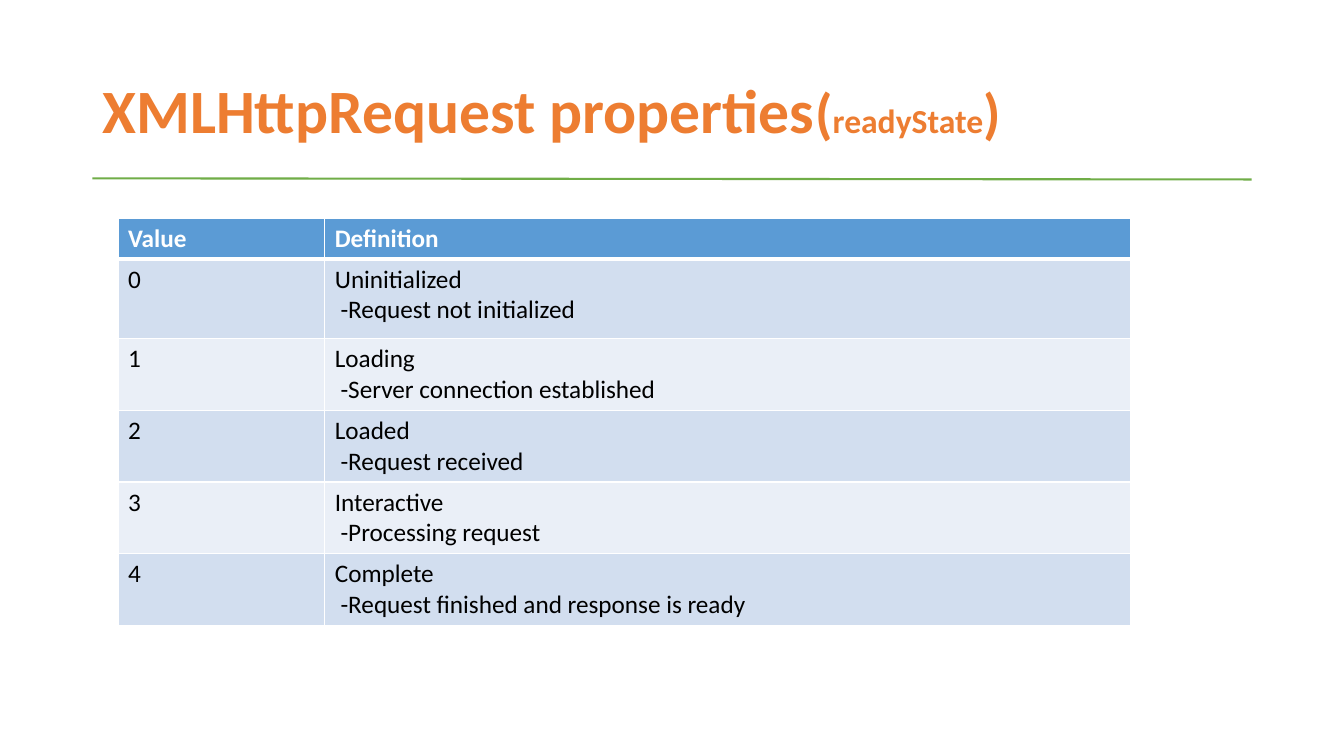
from lxml import etree
from pptx import Presentation
from pptx.dml.color import RGBColor
from pptx.enum.shapes import MSO_CONNECTOR
from pptx.enum.text import MSO_ANCHOR, MSO_AUTO_SIZE, PP_ALIGN
from pptx.oxml.ns import qn
from pptx.util import Pt

STRAIGHT = MSO_CONNECTOR.STRAIGHT
MIDDLE = MSO_ANCHOR.MIDDLE
NO_AUTOFIT = MSO_AUTO_SIZE.NONE
LEFT = PP_ALIGN.LEFT

FONT = "Calibri"
ORANGE = RGBColor(0xED, 0x7D, 0x31)
GREEN = RGBColor(0x70, 0xAD, 0x47)
BLUE = RGBColor(0x5B, 0x9B, 0xD5)
BAND_DARK = RGBColor(0xD2, 0xDE, 0xEF)
BAND_LIGHT = RGBColor(0xEA, 0xEF, 0xF7)
WHITE = RGBColor(0xFF, 0xFF, 0xFF)
BLACK = RGBColor(0x00, 0x00, 0x00)

TITLE_RUNS = [("XMLHttpRequest properties", 44), ("(", 40), ("readyState", 24), (")", 40)]
HEADER = ("Value", "Definition")
STATES = [
    ("Uninitialized", "Request not initialized"),
    ("Loading", "Server connection established"),
    ("Loaded", "Request received"),
    ("Interactive", "Processing request"),
    ("Complete", "Request finished and response is ready"),
]
COLUMN_WIDTHS = (147.6, 575.3)
ROW_HEIGHTS = (29, 57) + (51.2,) * 4


def style_run(run, size, color, bold):
    """Apply the slide font to a run."""
    run.font.name = FONT
    run.font.size = Pt(size)
    run.font.bold = bold
    run.font.color.rgb = color


def add_title(slide):
    """Fill and place the title placeholder."""
    title = slide.shapes.title
    title.left, title.top, title.width, title.height = Pt(66), Pt(28.8), Pt(828), Pt(104.4)
    frame = title.text_frame
    frame.auto_size = NO_AUTOFIT
    frame.vertical_anchor = MIDDLE
    paragraph = frame.paragraphs[0]
    paragraph.alignment = LEFT
    paragraph.line_spacing = 0.9
    for text, size in TITLE_RUNS:
        run = paragraph.add_run()
        run.text = text
        style_run(run, size, ORANGE, True)


def add_rule(slide):
    """Draw the green line under the title."""
    rule = slide.shapes.add_connector(STRAIGHT, Pt(66), Pt(127.4), Pt(894), Pt(128.2))
    rule.line.color.rgb = GREEN
    rule.line.width = Pt(1.5)
    etree.SubElement(rule._element.spPr, qn("a:effectLst"))


def set_borders(cell, bottom_width):
    """Give a cell white borders, placed before its fill as the schema asks."""
    properties = cell._tc.get_or_add_tcPr()
    widths = {"a:lnL": 1, "a:lnR": 1, "a:lnT": 1, "a:lnB": bottom_width}
    for index, (tag, width) in enumerate(widths.items()):
        border = etree.Element(qn(tag), w=str(Pt(width)))
        fill = etree.SubElement(border, qn("a:solidFill"))
        etree.SubElement(fill, qn("a:srgbClr"), val=str(WHITE))
        properties.insert(index, border)


def add_state_table(slide):
    """Build the table of readyState values."""
    rows = [HEADER] + [
        (str(value), f"{name}\n -{meaning}") for value, (name, meaning) in enumerate(STATES)
    ]
    table = slide.shapes.add_table(
        len(rows), len(HEADER), Pt(84.4), Pt(155.8), Pt(sum(COLUMN_WIDTHS)), Pt(sum(ROW_HEIGHTS))
    ).table
    for column, width in zip(table.columns, COLUMN_WIDTHS):
        column.width = Pt(width)
    for row_index, (texts, height) in enumerate(zip(rows, ROW_HEIGHTS)):
        is_header = row_index == 0
        band = BAND_DARK if row_index % 2 else BAND_LIGHT
        table.rows[row_index].height = Pt(height)
        for column_index, text in enumerate(texts):
            cell = table.cell(row_index, column_index)
            cell.text_frame.text = text
            cell.fill.solid()
            cell.fill.fore_color.rgb = BLUE if is_header else band
            set_borders(cell, 3 if is_header else 1)
            for paragraph in cell.text_frame.paragraphs:
                for run in paragraph.runs:
                    style_run(run, 18, WHITE if is_header else BLACK, is_header)


presentation = Presentation()
presentation.slide_width, presentation.slide_height = Pt(960), Pt(540)
title_only_layout = presentation.slide_layouts[5]
slide = presentation.slides.add_slide(title_only_layout)
add_title(slide)
add_state_table(slide)
add_rule(slide)
presentation.save("out.pptx")
